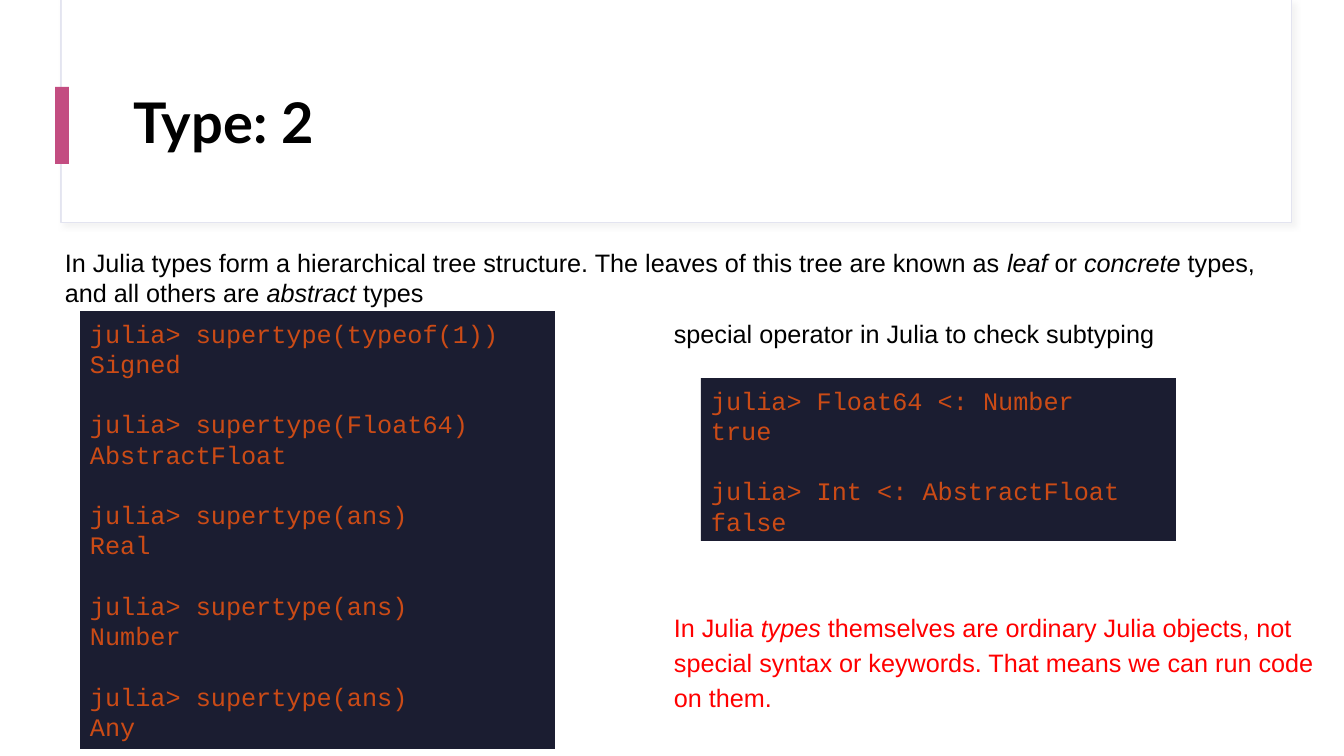
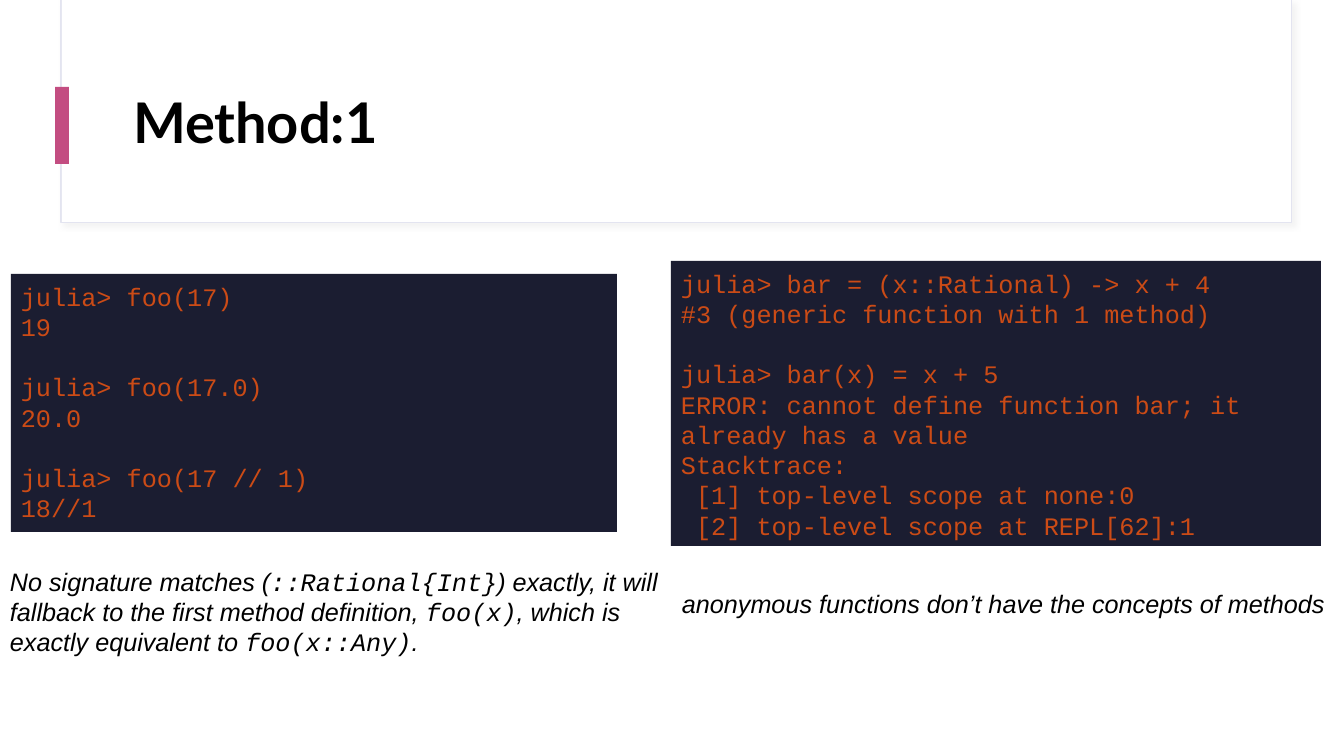
from lxml import etree
from pptx import Presentation
from pptx.dml.color import RGBColor
from pptx.enum import shapes, text
from pptx.oxml import ns
from pptx.util import Emu, Pt

EMU_PER_PX = 914400 / 100.8
SLIDE_WIDTH, SLIDE_HEIGHT = 1344, 756

WHITE = RGBColor(0xFF, 0xFF, 0xFF)
BLACK = RGBColor(0x00, 0x00, 0x00)
RED = RGBColor(0xFF, 0x00, 0x00)
FRAME_LINE = RGBColor(0xE3, 0xE4, 0xF0)
SHADOW = RGBColor(0xD9, 0xD9, 0xD9)
ACCENT = RGBColor(0xC3, 0x4D, 0x81)
CODE_BACK = RGBColor(0x1B, 0x1D, 0x31)
CODE_TEXT = RGBColor(0xCB, 0x4B, 0x16)

TITLE_FONT, BODY_FONT, CODE_FONT = "Lato", "Arial", "Courier New"
BODY_SIZE = 18
LINE_PITCH = 21.6
WIDE_PITCH = 24.8

HEADER_BOX = (61, 0, 1231, 223)

SUPERTYPE_CODE = """julia> supertype(typeof(1))
Signed

julia> supertype(Float64)
AbstractFloat

julia> supertype(ans)
Real

julia> supertype(ans)
Number

julia> supertype(ans)
Any"""

SUBTYPE_CODE = """julia> Float64 <: Number
true

julia> Int <: AbstractFloat
false"""

FOO_CODE = """julia> foo(17)
19

julia> foo(17.0)
20.0

julia> foo(17 // 1)
18//1"""

BAR_CODE = """julia> bar = (x::Rational) -> x + 4
#3 (generic function with 1 method)

julia> bar(x) = x + 5
ERROR: cannot define function bar; it already has a value
Stacktrace:
 [1] top-level scope at none:0
 [2] top-level scope at REPL[62]:1"""


def px(length):
    return Emu(round(length * EMU_PER_PX))


def place(box):
    return [px(length) for length in box]


def format_span(span, font, size, color, bold=False, italic=False):
    span.font.name = font
    span.font.size = Pt(size)
    span.font.bold = bold
    span.font.italic = italic
    span.font.color.rgb = color


def add_panel(page, box, fill, line=None):
    panel = page.shapes.add_shape(shapes.MSO_SHAPE.RECTANGLE, *place(box))
    panel.shadow.inherit = False
    panel.fill.solid()
    panel.fill.fore_color.rgb = fill
    if line is None:
        panel.line.fill.background()
    else:
        panel.line.color.rgb = line
        panel.line.width = Pt(0.75)
    return panel


def add_soft_shadow(panel):
    effects = panel.element.spPr.find(ns.qn("a:effectLst"))
    shadow = etree.SubElement(effects, ns.qn("a:outerShdw"), blurRad=str(Pt(4)),
                              dist=str(Pt(3)), dir="2700000", algn="tl", rotWithShape="0")
    color = etree.SubElement(shadow, ns.qn("a:srgbClr"), val=str(SHADOW))
    etree.SubElement(color, ns.qn("a:alpha"), val="30000")


def add_header(page, layout, box):
    left, top, width, height = box
    frame = add_panel(page, box, WHITE, FRAME_LINE)
    add_soft_shadow(frame)
    cover = add_panel(page, (left + 1, top, width - 2, height - 1), WHITE)
    bar = add_panel(page, (left - 6, top + 87, 14, 77), ACCENT)
    for number, part in enumerate((frame, cover, bar), start=101):
        part.element.nvSpPr.cNvPr.set("id", str(number))
        layout.element.cSld.spTree.append(part.element)


def set_title(page, wording, box):
    left, top, width, height = box
    title = page.shapes.title
    title.left, title.top, title.width, title.height = place(
        (left + 62, top + 60, width - 110, 130))
    frame = title.text_frame
    frame.text = wording
    frame.auto_size = text.MSO_AUTO_SIZE.NONE
    frame.vertical_anchor = text.MSO_ANCHOR.MIDDLE
    para = frame.paragraphs[0]
    para.alignment = text.PP_ALIGN.LEFT
    para.line_spacing = 0.9
    format_span(para.runs[0], TITLE_FONT, 40, BLACK, bold=True)


def add_text_area(page, box):
    area = page.shapes.add_textbox(*place(box))
    area.text_frame.word_wrap = True
    area.text_frame.auto_size = text.MSO_AUTO_SIZE.SHAPE_TO_FIT_TEXT
    return area


def add_code(page, box, code):
    area = add_text_area(page, box)
    area.fill.solid()
    area.fill.fore_color.rgb = CODE_BACK
    frame = area.text_frame
    frame.margin_top, frame.margin_bottom = px(7), px(3)
    for index, step in enumerate(code.split("\n\n")):
        para = frame.add_paragraph() if index else frame.paragraphs[0]
        para.text = step
        para.line_spacing = Pt(LINE_PITCH)
        para.space_before = Pt(LINE_PITCH if index else 0)
        for span in para.runs:
            format_span(span, CODE_FONT, BODY_SIZE, CODE_TEXT)


def add_note(page, box, pieces, color=BLACK, pitch=LINE_PITCH, italic=False,
             marked_font=BODY_FONT):
    para = add_text_area(page, box).text_frame.paragraphs[0]
    para.line_spacing = Pt(pitch)
    for index, piece in enumerate(pieces):
        marked = index % 2 == 1
        span = para.add_run()
        span.text = piece
        format_span(span, marked_font if marked else BODY_FONT, BODY_SIZE, color,
                    italic=italic or marked)


def fill_type_page(page):
    set_title(page, "Type: 2", HEADER_BOX)
    add_note(page, (55, 242, 1258, 72), (
        "In Julia types form a hierarchical tree structure. "
        "The leaves of this tree are known as ", "leaf", " or ", "concrete",
        " types, and all others are ", "abstract", " types"))
    add_code(page, (80, 311, 475, 438), SUPERTYPE_CODE)
    add_note(page, (664, 313, 512, 40), ("special operator in Julia to check subtyping",))
    add_code(page, (701, 378, 475, 163), SUBTYPE_CODE)
    add_note(page, (664, 603, 672, 113), (
        "In Julia ", "types",
        " themselves are ordinary Julia objects, not special syntax or keywords. "
        "That means we can run code on them."), color=RED, pitch=WIDE_PITCH)


def fill_method_page(page):
    set_title(page, "Method:1", HEADER_BOX)
    add_code(page, (11, 274, 606, 258), FOO_CODE)
    add_note(page, (0, 561, 672, 102), (
        "No signature matches (", "::Rational{Int}",
        ") exactly, it will fallback to the first method definition, ", "foo(x)",
        ", which is exactly equivalent to ", "foo(x::Any)", "."),
        italic=True, marked_font=CODE_FONT)
    add_code(page, (671, 261, 650, 285), BAR_CODE)
    add_note(page, (672, 583, 676, 40),
             ("anonymous functions don’t have the concepts of methods",), italic=True)


def main():
    deck = Presentation()
    deck.slide_width, deck.slide_height = px(SLIDE_WIDTH), px(SLIDE_HEIGHT)
    layout = deck.slide_layouts.get_by_name("Title Only")
    pages = [deck.slides.add_slide(layout) for _ in range(2)]
    add_header(pages[0], layout, HEADER_BOX)
    fill_type_page(pages[0])
    fill_method_page(pages[1])
    deck.save("out.pptx")


if __name__ == "__main__":
    main()
